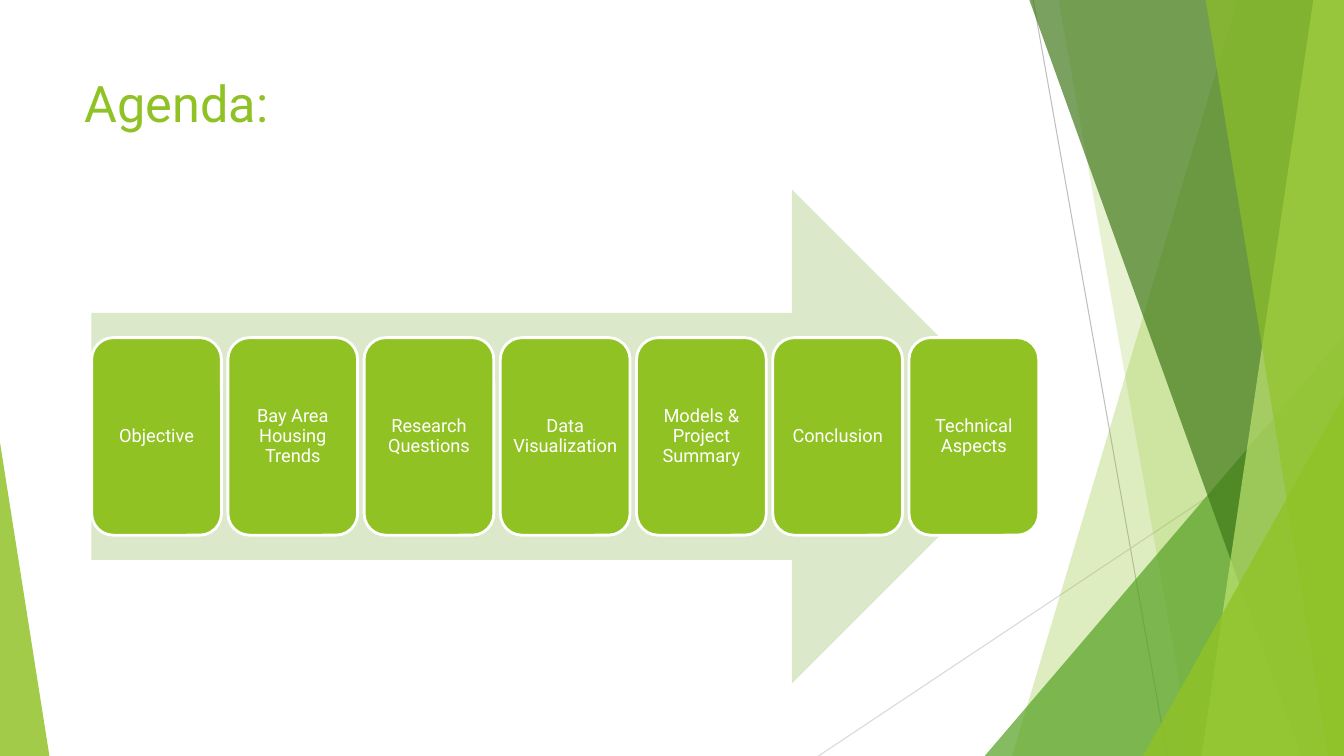
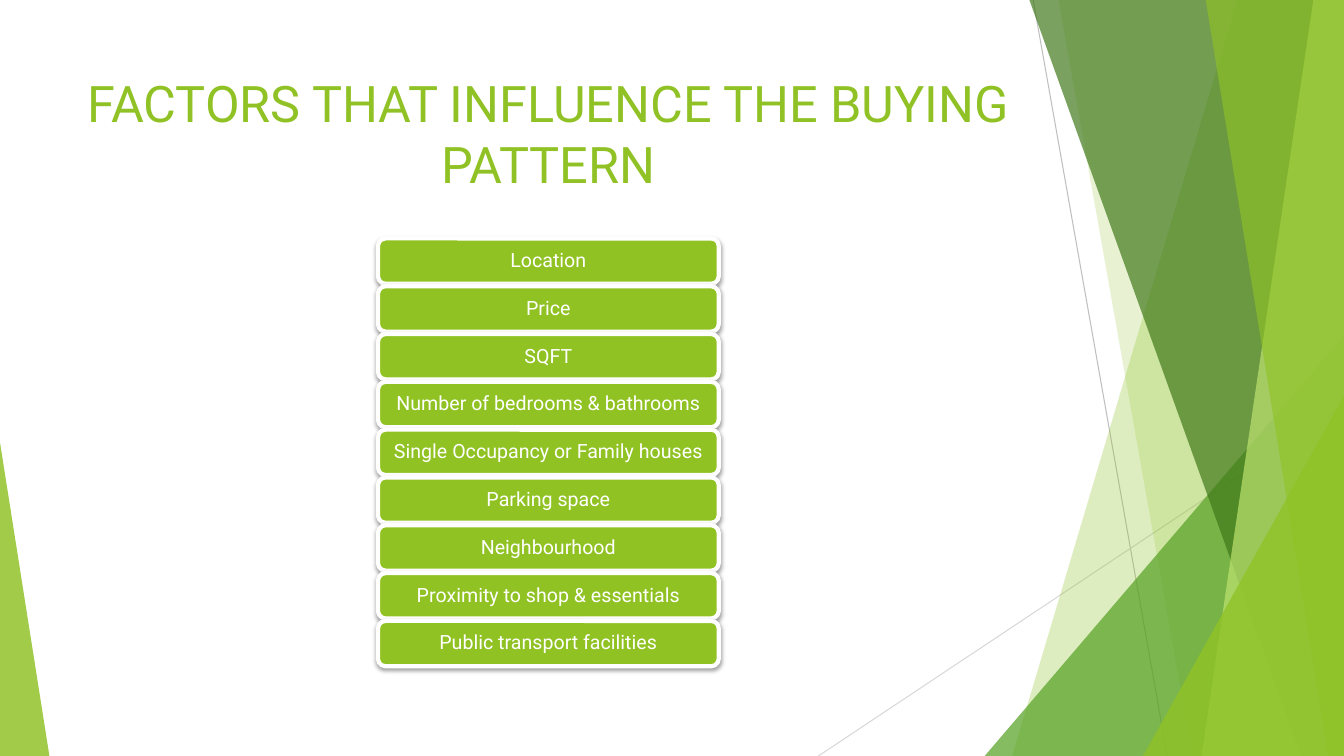
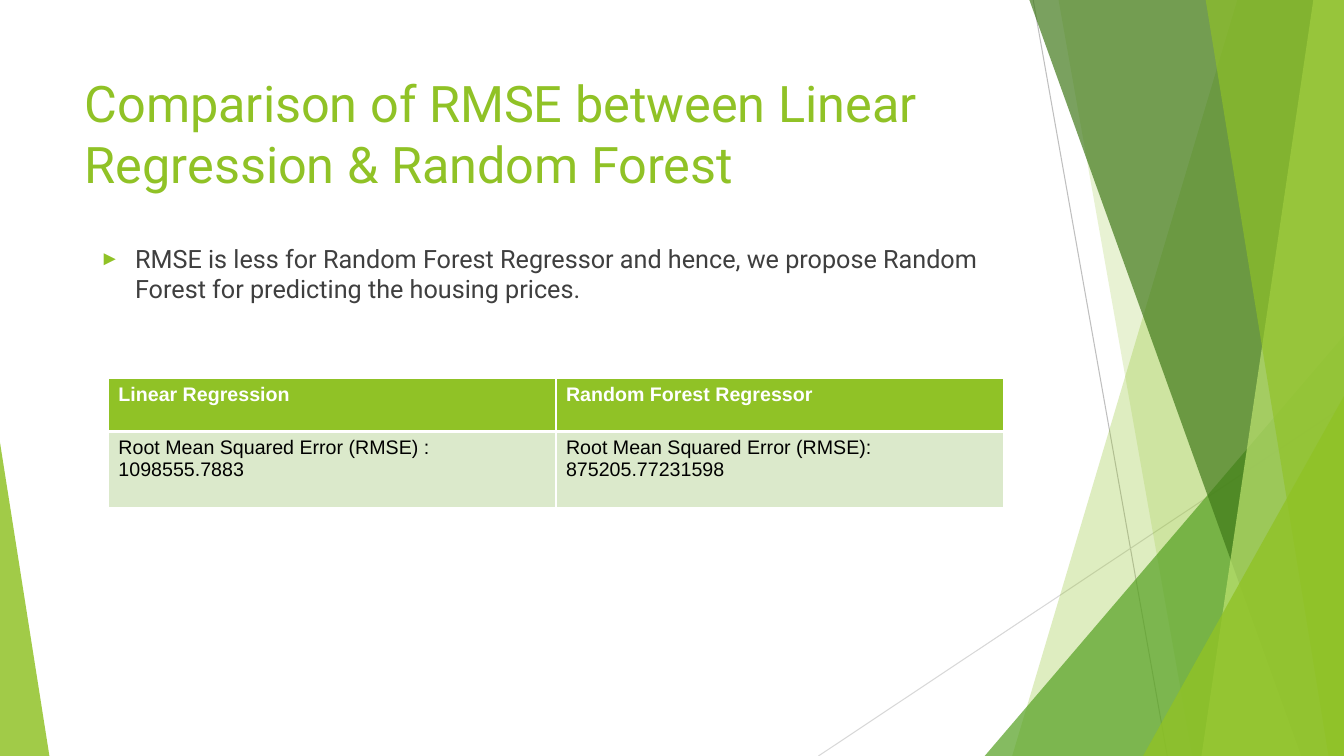
from pptx import Presentation
from pptx.dml.color import RGBColor as RGB
from pptx.enum.shapes import MSO_CONNECTOR as CONNECTOR, MSO_SHAPE as SHAPE
from pptx.enum.text import MSO_ANCHOR as ANCHOR, MSO_AUTO_SIZE as AUTO_SIZE, PP_ALIGN as ALIGN
from pptx.oxml.ns import qn
from pptx.util import Pt
from lxml.etree import SubElement

COLOURS = {
    "green": "90C226", "box": "90C223", "leaf": "54A021", "forest": "3F7818",
    "lime": "BFE471", "arrow": "DBE8CA", "cell": "DBE9CB", "white": "FFFFFF",
    "black": "000000", "text": "3F3F3F", "line": "BFBFBF", "pale line": "D8D8D8",
}
FONT = "Roboto"
WIDTH, HEIGHT = 960, 540


def fill_shape(shape, colour, opacity=100):
    """Flat fill without outline or shadow."""
    shape.shadow.inherit = False
    shape.line.fill.background()
    shape.fill.solid()
    shape.fill.fore_color.rgb = RGB.from_string(COLOURS[colour])
    if opacity < 100:
        colour_node = shape.element.spPr.find(qn("a:solidFill"))[0]
        SubElement(colour_node, qn("a:alpha"), val=str(opacity * 1000))


def format_text(text_frame, size, colour, align=None, font=FONT, bold=False, spacing=None):
    for paragraph in text_frame.paragraphs:
        paragraph.alignment = align
        paragraph.line_spacing = spacing
        for run in paragraph.runs:
            run.font.name, run.font.size, run.font.bold = font, Pt(size), bold
            run.font.color.rgb = RGB.from_string(COLOURS[colour])


presentation = Presentation()
presentation.slide_width, presentation.slide_height = Pt(WIDTH), Pt(HEIGHT)
title_only, title_and_body = presentation.slide_layouts[5], presentation.slide_layouts[1]

# Slides and titles
slides = []
for layout, title_text, title_height, align in (
    (title_only, "Agenda:", 54.7, ALIGN.LEFT),
    (title_only, "FACTORS THAT INFLUENCE THE BUYING PATTERN", 103.7, ALIGN.CENTER),
    (title_and_body, "Comparison of RMSE between Linear Regression & Random Forest", 103.7, ALIGN.LEFT),
):
    slide = presentation.slides.add_slide(layout)
    title = slide.shapes.title
    title.left, title.top, title.width, title.height = Pt(53.3), Pt(48), Pt(676.8), Pt(title_height)
    title.text_frame.text = title_text
    title.text_frame.auto_size = AUTO_SIZE.NONE
    title.text_frame.vertical_anchor = ANCHOR.TOP
    format_text(title.text_frame, 36, "green", align)
    slides.append(slide)
agenda, factors, comparison = slides

# Background facets, drawn once and moved to the slide master
facets = []
for start_x, start_y, end_x, end_y, colour in (
    (738, 0, 833.8, HEIGHT, "line"),
    (WIDTH, 290.2, 584.6, HEIGHT, "pale line"),
):
    line = agenda.shapes.add_connector(CONNECTOR.STRAIGHT, Pt(start_x), Pt(start_y), Pt(end_x), Pt(end_y))
    line.line.color.rgb = RGB.from_string(COLOURS[colour])
    line.line.width = Pt(0.75)
    SubElement(line.element.spPr, qn("a:effectLst"))
    facets.append(line)

# A band is (top x, bottom x), a triangle is (left, top, width, peak)
for outline, colour, opacity in (
    ((884, 723), "green", 29),
    ((756, 851.8), "green", 20),
    ((703.4, 239.8, 256.6, 1), "leaf", 71),
    ((735.1, 929.5), "forest", 69),
    ((938.2, 858.2), "lime", 69),
    ((861.1, 949), "green", 64),
    ((816.5, 283, 143.5, 1), "green", 80),
    ((0, 316.1, 35.3, 0), "green", 84),
):
    if len(outline) == 2:
        top_x, bottom_x = outline
        builder = agenda.shapes.build_freeform(Pt(top_x), Pt(-0.6))
        corners = ((WIDTH, -0.6), (WIDTH, HEIGHT), (bottom_x, HEIGHT))
        builder.add_line_segments([(Pt(x), Pt(y)) for x, y in corners], close=True)
        facet = builder.convert_to_shape()
    else:
        left, top, width, peak = outline
        facet = agenda.shapes.add_shape(
            SHAPE.ISOSCELES_TRIANGLE, Pt(left), Pt(top), Pt(width), Pt(HEIGHT - top))
        facet.adjustments[0] = peak
    fill_shape(facet, colour, opacity)
    facets.append(facet)

master_tree = presentation.slide_master.shapes.element
for index, facet in enumerate(facets):
    facet.element.xpath(".//p:cNvPr")[0].set("id", str(100 + index))
    master_tree.insert(2 + index, facet.element)

# Agenda arrow
arrow = agenda.shapes.add_shape(SHAPE.RIGHT_ARROW, Pt(65.3), Pt(135.4), Pt(676.8), Pt(352.8))
fill_shape(arrow, "arrow")

# Rows of boxes: agenda steps run across, buying factors run down
steps = ("Objective", "Bay Area Housing Trends", "Research Questions", "Data Visualization",
         "Models &\nProject Summary", "Conclusion", "Technical Aspects")
factor_names = ("Location", "Price", "SQFT", "Number of bedrooms & bathrooms",
                "Single Occupancy or Family houses", "Parking space", "Neighbourhood",
                "Proximity to shop & essentials", "Public transport facilities")
for slide, labels, (left, top, width, height), (step_x, step_y), size, margin, outline in (
    (agenda, steps, (65.5, 241.2, 92.7, 141.1), (97.3, 0), 13, 3.6, 2),
    (factors, factor_names, (270, 170.3, 243.4, 32.4), (0, 34.15), 14, 4, 3),
):
    for index, label in enumerate(labels):
        box = slide.shapes.add_shape(
            SHAPE.ROUNDED_RECTANGLE, Pt(left + index * step_x), Pt(top + index * step_y),
            Pt(width), Pt(height))
        fill_shape(box, "box")
        box.line.color.rgb = RGB.from_string(COLOURS["white"])
        box.line.width = Pt(outline)
        frame = box.text_frame
        frame.text = label
        frame.word_wrap = True
        frame.vertical_anchor = ANCHOR.MIDDLE
        frame.margin_left = frame.margin_right = Pt(margin)
        frame.margin_top = frame.margin_bottom = Pt(2)
        format_text(frame, size, "white", ALIGN.CENTER, spacing=0.9)
        if slide is factors:
            effects = box.element.spPr.find(qn("a:effectLst"))
            shadow = SubElement(effects, qn("a:outerShdw"), blurRad=str(Pt(3.1)), dist=str(Pt(1.6)),
                                dir="5400000", algn="ctr", rotWithShape="0")
            shade = SubElement(shadow, qn("a:srgbClr"), val=COLOURS["black"])
            SubElement(shade, qn("a:alpha"), val="37000")

# Comparison finding
body = comparison.placeholders[1]
body.left, body.top, body.width, body.height = Pt(53.3), Pt(170), Pt(676.8), Pt(305.3)
body.text_frame.text = ("RMSE is less for Random Forest Regressor and hence, we propose "
                        "Random Forest for predicting the housing prices.")
body.text_frame.auto_size = AUTO_SIZE.NONE
format_text(body.text_frame, 18, "text")
finding = body.text_frame.paragraphs[0]
finding.space_before = Pt(10)
properties = finding._p.get_or_add_pPr()
properties.set("marL", str(Pt(36)))
properties.set("indent", str(Pt(-25.2)))
bullet_colour = SubElement(properties, qn("a:buClr"))
SubElement(bullet_colour, qn("a:srgbClr"), val=COLOURS["green"])
SubElement(properties, qn("a:buSzPct"), val="80000")
SubElement(properties, qn("a:buFont"), typeface="Arial")
SubElement(properties, qn("a:buChar"), char="►")

# Comparison table
rows = (
    (37.8, "green", "white", True, ("Linear Regression", "Random Forest Regressor")),
    (54.6, "cell", "black", False, ("Root Mean Squared Error (RMSE) : 1098555.7883",
                                    "Root Mean Squared Error (RMSE): 875205.77231598")),
)
table = comparison.shapes.add_table(2, 2, Pt(77.4), Pt(270.4), Pt(639.4), Pt(92.4)).table
for row_index, (height, fill, colour, bold, texts) in enumerate(rows):
    table.rows[row_index].height = Pt(height)
    for column_index, text in enumerate(texts):
        cell = table.cell(row_index, column_index)
        cell.text_frame.text = text
        format_text(cell.text_frame, 14, colour, font="Arial", bold=bold)
        cell.fill.solid()
        cell.fill.fore_color.rgb = RGB.from_string(COLOURS[fill])
        cell_properties = cell._tc.get_or_add_tcPr()
        header_rule = {0: "lnB", 1: "lnT"}[row_index]
        for position, side in enumerate(("lnL", "lnR", "lnT", "lnB")):
            border = SubElement(cell_properties, qn("a:" + side), w=str(Pt(3 if side == header_rule else 1)))
            border_fill = SubElement(border, qn("a:solidFill"))
            SubElement(border_fill, qn("a:srgbClr"), val=COLOURS["white"])
            cell_properties.insert(position, border)

presentation.save("out.pptx")
